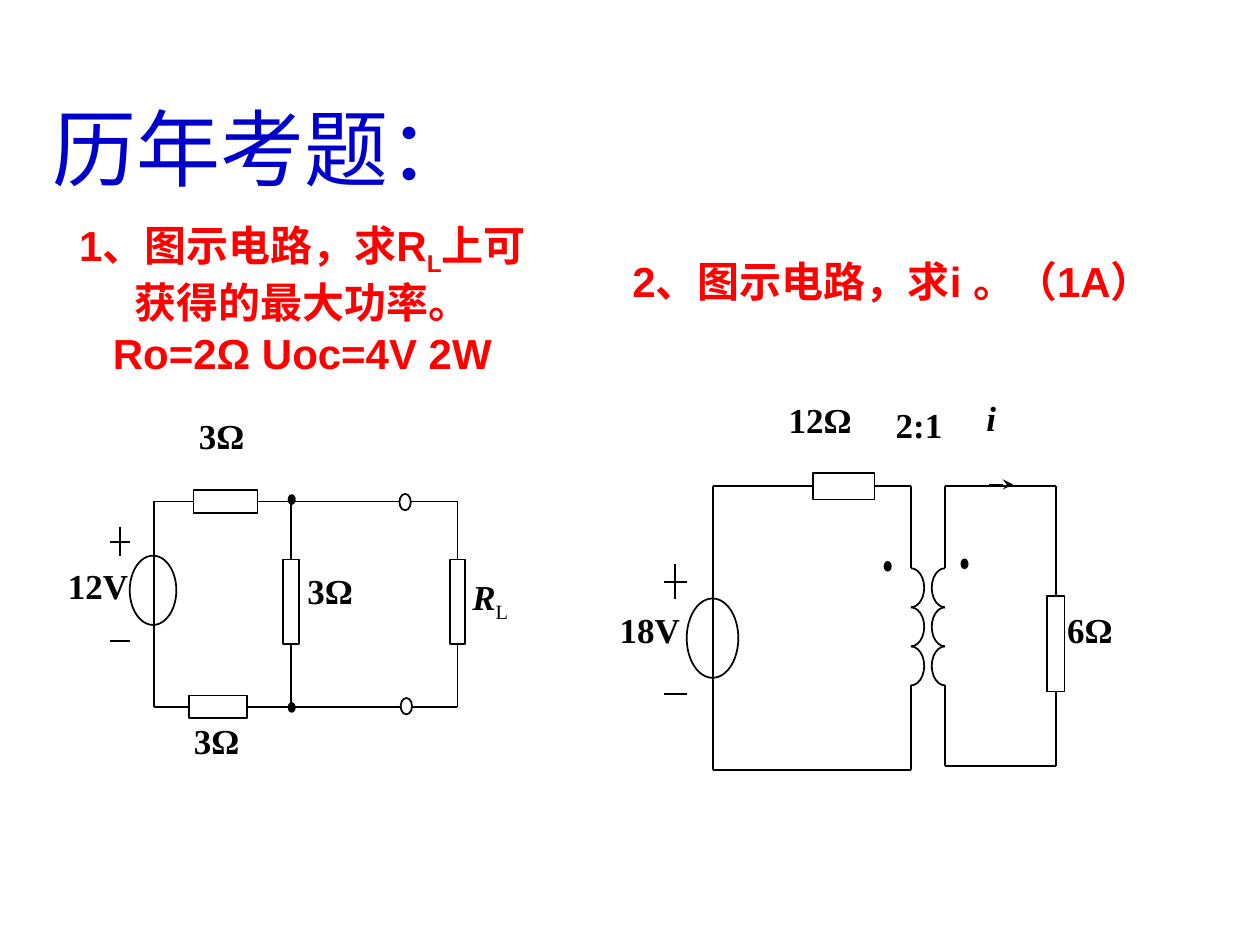
from lxml.etree import SubElement
from pptx import Presentation
from pptx.dml.color import RGBColor
from pptx.enum.shapes import MSO_CONNECTOR, MSO_SHAPE
from pptx.enum.text import MSO_ANCHOR, MSO_AUTO_SIZE, PP_ALIGN
from pptx.oxml.ns import qn
from pptx.util import Inches, Pt

BLACK = RGBColor(0x00, 0x00, 0x00)
BLUE = RGBColor(0x00, 0x00, 0xCC)
RED = RGBColor(0xFF, 0x00, 0x00)

presentation = Presentation()
presentation.slide_width, presentation.slide_height = Inches(10), Inches(7.5)
COLUMN = presentation.slide_width // 100
ROW = presentation.slide_height // 75
slide = presentation.slides.add_slide(presentation.slide_layouts[6])

TITLE = {"size": Pt(48), "name": "Times New Roman"}
QUESTION = {"size": Pt(24), "name": "Arial", "bold": True}
LABEL = {"size": Pt(20), "name": "Times New Roman", "bold": True}
SYMBOL = {**LABEL, "italic": True}
SUBSCRIPT = {**LABEL, "bold": False}


def add_text(shapes, box, paragraphs, color, frame_format, align=PP_ALIGN.LEFT):
    left, top, width, height = box
    text_box = shapes.add_textbox(
        int(left * COLUMN), int(top * ROW), int(width * COLUMN), int(height * ROW))
    frame = text_box.text_frame
    for name, value in frame_format.items():
        setattr(frame, name, value)
    for index, runs in enumerate(paragraphs):
        paragraph = frame.add_paragraph() if index else frame.paragraphs[0]
        paragraph.alignment = align
        for text, font_format, baseline in runs:
            run = paragraph.add_run()
            run.text = text
            for name, value in font_format.items():
                setattr(run.font, name, value)
            run.font.color.rgb = color
            if baseline:
                run._r.get_or_add_rPr().set("baseline", str(baseline))


def add_part(shapes, preset, box, filled=False):
    left, top, width, height = box
    shape = shapes.add_shape(
        preset, int(left * COLUMN), int(top * ROW), int(width * COLUMN), int(height * ROW))
    shape.shadow.inherit = False
    if filled:
        shape.fill.solid()
        shape.fill.fore_color.rgb = BLACK
    else:
        shape.fill.background()
    shape.line.color.rgb = BLACK
    shape.line.width = Pt(1)
    return shape


GROW = {"word_wrap": True, "auto_size": MSO_AUTO_SIZE.SHAPE_TO_FIT_TEXT}
MIDDLE = {**GROW, "vertical_anchor": MSO_ANCHOR.MIDDLE}

add_text(slide.shapes, (3.2, 7.2, 89.9, 9), [[("历年考题：", TITLE, 0)]], BLUE, GROW)
add_text(slide.shapes, (4.3, 16.9, 39.4, 13.6), [
    [("1、图示电路，求R", QUESTION, 0), ("L", QUESTION, -25000),
     ("上可获得的最大功率。", QUESTION, 0)],
    [("Ro=2Ω Uoc=4V 2W", QUESTION, 0)],
], RED, MIDDLE, PP_ALIGN.CENTER)
add_text(slide.shapes, (47.2, 19.8, 47.3, 5), [[("2、图示电路，求i 。（1A）", QUESTION, 0)]],
         RED, {**MIDDLE, "word_wrap": False}, PP_ALIGN.CENTER)

power_circuit = {
    "resistors": {
        "top": (15.35, 38.9, 5.1, 1.8),
        "bottom": (15, 55.2, 4.6, 1.8),
        "branch": (22.45, 44.4, 1.3, 6.7),
        "load": (35.7, 44.4, 1.2, 6.7),
    },
    "rings": [(10.3, 44.1, 3.7, 5.5), (31.7, 39.2, 0.9, 1.3), (31.8, 55.4, 0.9, 1.3)],
    "dots": [(22.9, 39.3), (22.9, 55.8)],
    "windings": [],
    "wires": [
        ((12.2, 56.1), (12.2, 39.8)),
        ((12.2, 39.8), ("top", 1)),
        (("top", 3), (31.7, 39.8)),
        ((32.6, 39.8), (36.3, 39.8)),
        ((36.3, 39.8), ("load", 0)),
        (("load", 2), (36.3, 56.1)),
        ((32.7, 56.1), (36.3, 56.1)),
        (("bottom", 3), (31.8, 56.1)),
        ((12.2, 56.1), ("bottom", 1)),
        ((23.1, 39.8), ("branch", 0)),
        (("branch", 2), (23.1, 56.1)),
        ((8.7, 43), (10.3, 43)),
        ((9.5, 41.8), (9.5, 44.1)),
        ((8.7, 50.9), (10.3, 50.9)),
    ],
    "arrows": [],
    "labels": [
        ((4.4, 44.3, 7.5, 5.9), [("12V", LABEL, 0)]),
        ((14.4, 56.6, 7.5, 5.9), [("3Ω", LABEL, 0)]),
        ((14.8, 32.4, 7.5, 5.9), [("3Ω", LABEL, 0)]),
        ((23.4, 44.7, 7.5, 5.9), [("3Ω", LABEL, 0)]),
        ((36.5, 45.2, 8.3, 5.9), [("R", SYMBOL, 0), ("L", SUBSCRIPT, -25000)]),
    ],
}

transformer_circuit = {
    "resistors": {
        "series": (64.5, 37.55, 4.9, 2.1),
        "load": (83.1, 47.3, 1.4, 7.6),
    },
    "rings": [(54.5, 47.5, 4.1, 6.3)],
    "dots": [(70.2, 44.6), (76.3, 44.4)],
    "windings": [(72.3, 162, 54), (75, 54, 162)],
    "wires": [
        ((56.6, 38.6), (56.6, 61.1)),
        ((56.6, 38.6), ("series", 1)),
        (("series", 3), (72.3, 38.6)),
        ((72.3, 38.6), (72.3, 45.1)),
        ((72.3, 54.4), (72.3, 61.1)),
        ((56.6, 61.1), (72.3, 61.1)),
        ((75, 45.1), (75, 38.6)),
        ((75, 38.6), (83.8, 38.6)),
        ((83.8, 38.6), ("load", 0)),
        (("load", 2), (83.8, 60.8)),
        ((75, 60.8), (83.8, 60.8)),
        ((75, 54.4), (75, 60.8)),
        ((52.7, 46.2), (54.5, 46.2)),
        ((53.6, 44.8), (53.6, 47.5)),
        ((52.7, 55.1), (54.5, 55.1)),
    ],
    "arrows": [((78.5, 38.45), (80.4, 38.45))],
    "labels": [
        ((77.3, 31, 8.1, 7.5), [("i", SYMBOL, 0)]),
        ((70.1, 31.5, 8.1, 7.5), [("2:1", LABEL, 0)]),
        ((61.6, 31.1, 8.1, 6.7), [("12Ω", LABEL, 0)]),
        ((83.7, 47.8, 8.1, 6.7), [("6Ω", LABEL, 0)]),
        ((48.2, 47.8, 7.6, 6.7), [("18V", LABEL, 0)]),
    ],
}

TURN_WIDTH, TURN_HEIGHT = 2.1, 3.1

for circuit in (power_circuit, transformer_circuit):
    shapes = slide.shapes.add_group_shape().shapes
    resistors = {name: add_part(shapes, MSO_SHAPE.RECTANGLE, box)
                 for name, box in circuit["resistors"].items()}
    for box in circuit["rings"]:
        add_part(shapes, MSO_SHAPE.OVAL, box)
    for left, top in circuit["dots"]:
        add_part(shapes, MSO_SHAPE.FLOWCHART_CONNECTOR, (left, top, 0.5, 0.7), filled=True)
    for axis, start_angle, end_angle in circuit["windings"]:
        for turn in range(3):
            arc = add_part(shapes, MSO_SHAPE.ARC, (
                axis - TURN_WIDTH / 2, 45.1 + turn * TURN_HEIGHT, TURN_WIDTH, TURN_HEIGHT))
            arc.adjustments[0], arc.adjustments[1] = start_angle, end_angle

    for wire in circuit["wires"] + circuit["arrows"]:
        points = [(0, 0) if end[0] in resistors else end for end in wire]
        (x1, y1), (x2, y2) = points
        if wire[0][0] in resistors:
            x1, y1 = x2, y2
        if wire[1][0] in resistors:
            x2, y2 = x1, y1
        connector = shapes.add_connector(
            MSO_CONNECTOR.STRAIGHT, int(x1 * COLUMN), int(y1 * ROW),
            int(x2 * COLUMN), int(y2 * ROW))
        for end, connect in zip(wire, (connector.begin_connect, connector.end_connect)):
            if end[0] in resistors:
                connect(resistors[end[0]], end[1])
        is_arrow = wire in circuit["arrows"]
        connector.line.color.rgb = BLACK
        connector.line.width = Pt(0.75 if is_arrow else 1)
        if is_arrow:
            SubElement(connector.line._get_or_add_ln(), qn("a:tailEnd"), type="stealth")
        SubElement(connector._element.spPr, qn("a:effectLst"))

    for box, runs in circuit["labels"]:
        add_text(shapes, box, [runs], BLACK, {"word_wrap": True})

presentation.save("out.pptx")
